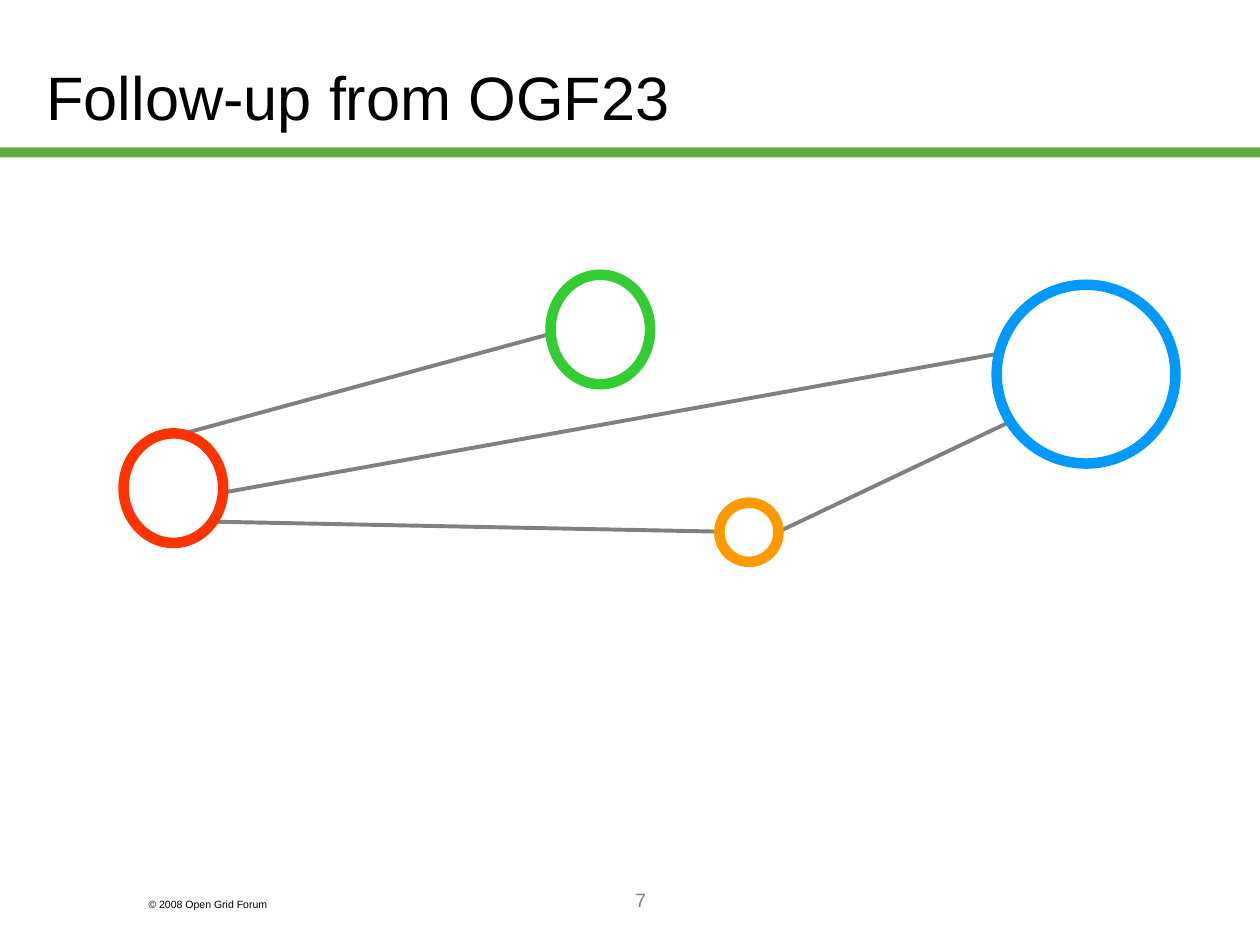
import pptx
import pptx.util
import pptx.dml.color
import pptx.enum.shapes
import pptx.enum.text
import pptx.oxml

Pt = pptx.util.Pt
Shape = pptx.enum.shapes.MSO_SHAPE
Align = pptx.enum.text.PP_ALIGN
Anchor = pptx.enum.text.MSO_ANCHOR

TITLE = ("Follow-up from OGF23", (19.4, 21.6, 680.4, 67), 35, "000000", Align.LEFT, Anchor.MIDDLE)
NOTES = [
    ("© 2008 Open Grid Forum", (77.8, 509.8, 108, 14.4), 6, "000000", Align.LEFT, Anchor.TOP),
    ("7", (156.2, 504, 419.8, 36), 11, "808080", Align.CENTER, Anchor.TOP),
]
BAR = (0, 84.2, 720, 5.8)
LINKS = [
    (445, 303.8, 575.3, 241.9),
    (121.7, 298.1, 411.1, 303.8),
    (127.4, 281.5, 569.5, 202.3),
    (105.1, 247.7, 314.6, 190.8),
]
RINGS = [
    ((70.6, 247.7, 56.9, 62.6), "FF3300"),
    ((569.5, 162.7, 102.2, 102.2), "0099FF"),
    ((314.6, 157, 56.9, 62.6), "33CC33"),
    ((411.1, 287.3, 33.8, 33.8), "FF9900"),
]


def color(code):
    return pptx.dml.color.RGBColor.from_string(code)


def points(nums):
    return [Pt(num) for num in nums]


def apply(target, values):
    for name, value in values.items():
        setattr(target, name, value)


def write(box, text, place, size, code, align, anchor):
    sides = ("left", "top", "width", "height")
    apply(box, dict(zip(sides, points(place))))
    frame = box.text_frame
    frame.text = text
    apply(frame, {
        "word_wrap": True, "vertical_anchor": anchor,
        "auto_size": pptx.enum.text.MSO_AUTO_SIZE.NONE,
        "margin_left": Pt(7.2), "margin_right": Pt(7.2),
        "margin_top": Pt(3.6), "margin_bottom": Pt(3.6),
    })
    para = frame.paragraphs[0]
    apply(para, {"alignment": align, "space_before": Pt(0), "line_spacing": 1.0})
    font = para.runs[0].font
    apply(font, {"name": "Arial", "size": Pt(size)})
    font.color.rgb = color(code)


def draw(slide, kind, place, fill, edge=None):
    shape = slide.shapes.add_shape(kind, *points(place))
    shape.shadow.inherit = False
    shape.fill.solid()
    shape.fill.fore_color.rgb = color(fill)
    if edge:
        shape.line.color.rgb = color(edge)
        shape.line.width = Pt(6)
    else:
        shape.line.fill.background()


def link(slide, ends):
    line = slide.shapes.add_connector(
        pptx.enum.shapes.MSO_CONNECTOR.STRAIGHT, *points(ends))
    line.line.color.rgb = color("808080")
    line.line.width = Pt(2.25)
    props = line._element.spPr
    props.append(pptx.oxml.parse_xml(
        '<a:effectLst xmlns:a="http://schemas.openxmlformats.org/drawingml/2006/main"/>'))


def main():
    deck = pptx.Presentation()
    apply(deck, {"slide_width": Pt(720), "slide_height": Pt(540)})
    slide = deck.slides.add_slide(deck.slide_layouts[5])
    draw(slide, Shape.RECTANGLE, BAR, "5DAD41")
    write(slide.shapes.title, *TITLE)
    for note in NOTES:
        write(slide.shapes.add_textbox(0, 0, 0, 0), *note)
    for ends in LINKS:
        link(slide, ends)
    for place, edge in RINGS:
        draw(slide, Shape.OVAL, place, "FFFFFF", edge)
    deck.save("out.pptx")


if __name__ == "__main__":
    main()
